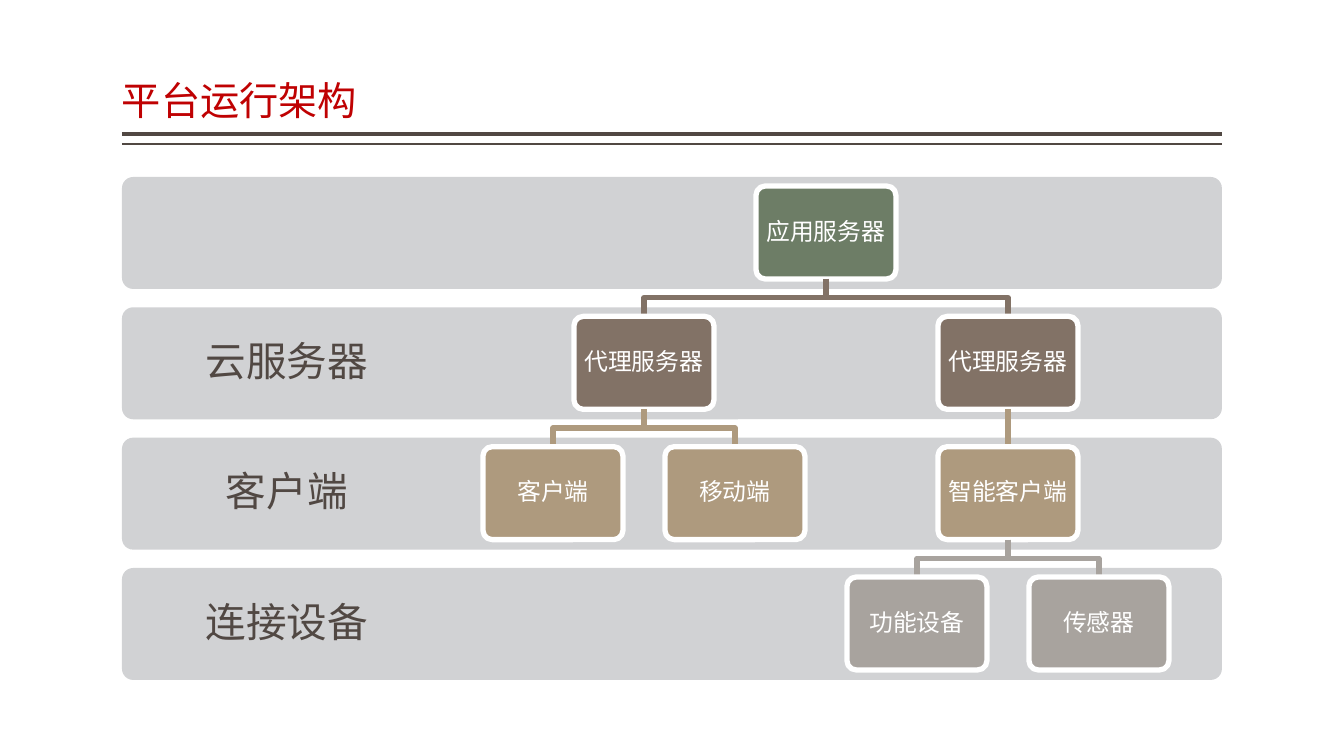
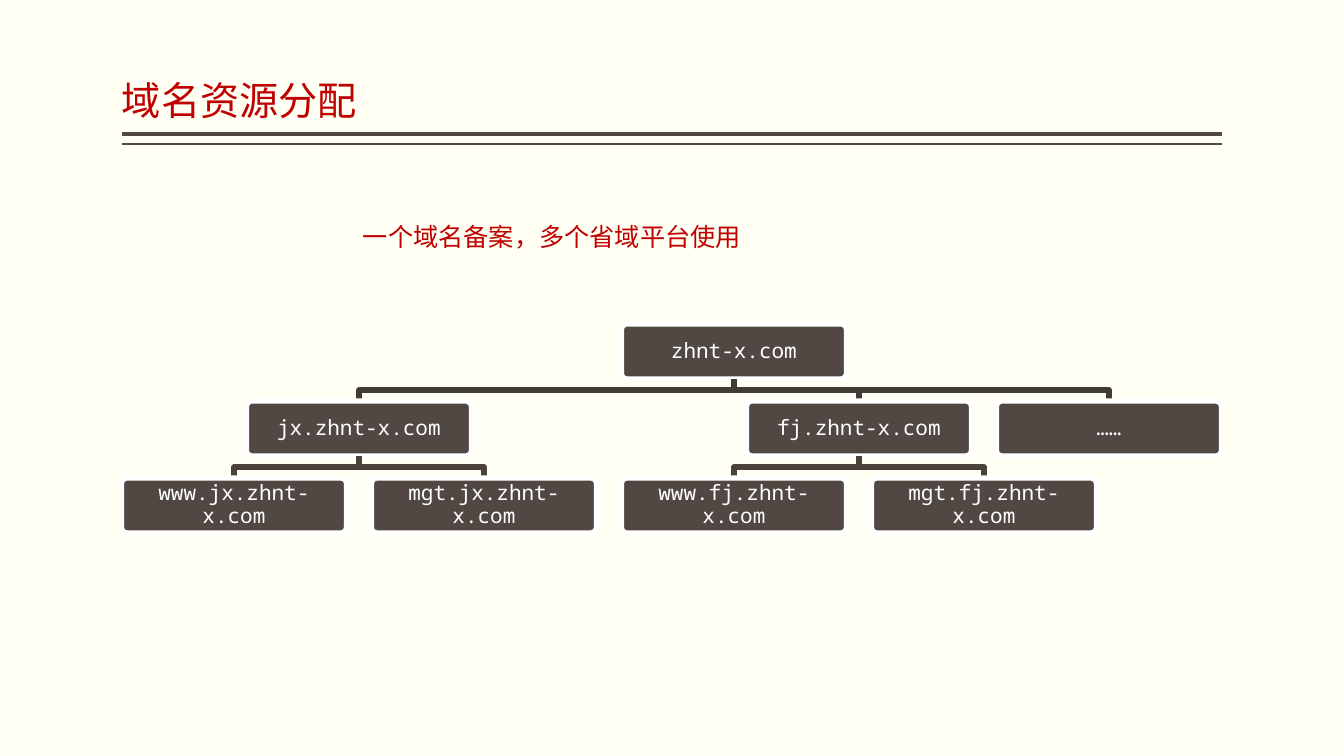
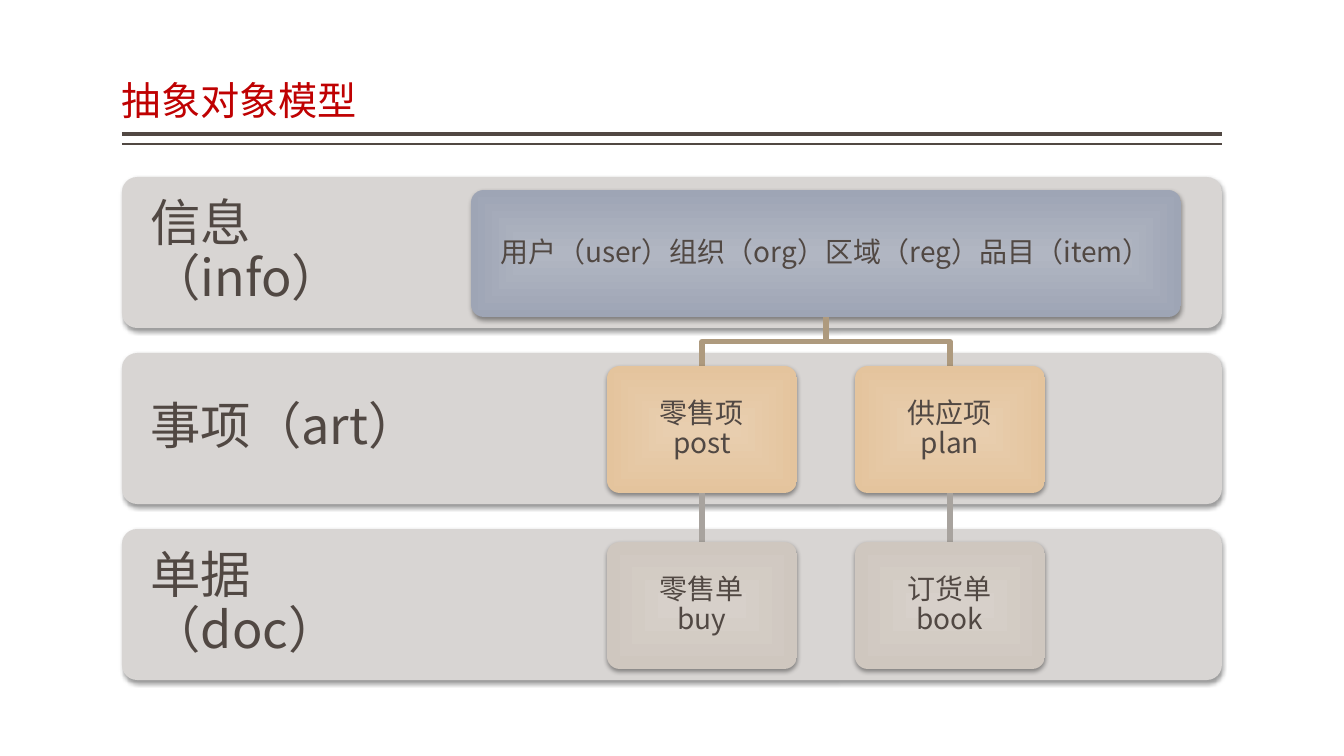
"""Build three slides of platform structure charts."""
from dataclasses import dataclass

import lxml.etree
import pptx
import pptx.dml.color
import pptx.enum.shapes
import pptx.enum.text
import pptx.oxml
import pptx.oxml.ns
import pptx.shapes.autoshape
import pptx.slide
import pptx.text.text
import pptx.util

SCALE = 914400 / 100.8
LEFT, WIDE = 122, 1100
TOP, BASE = 177, 680
LABEL = 330
STROKE = 3.78
HAN = "Noto Sans CJK SC"
NS = pptx.oxml.ns.nsdecls("a")
ALIGN = pptx.enum.text.PP_ALIGN
ANCHOR = pptx.enum.text.MSO_ANCHOR

COLORS = {
    "white": "FFFFFF", "cream": "FFFFF3", "red": "BF0102", "note": "C00000",
    "ink": "514843", "gray": "D1D2D4", "stone": "D8D5D3",
    "green": "6D7D66", "brown": "827266", "tan": "AE9A7E", "ash": "A8A39E",
    "dark": "413A36", "dusk": "4A413D",
    "blue in": "B1B6C2", "blue out": "9EA5B5",
    "sand in": "E8CEAF", "sand out": "E4C49D",
    "clay in": "D7D0CA", "clay out": "CFC7BF",
}

SHADOW = (f'<a:outerShdw {NS} blurRad="44450" dist="25400" dir="5400000" algn="ctr" rotWithShape="0">'
          '<a:srgbClr val="000000"><a:alpha val="38000"/></a:srgbClr></a:outerShdw>')
CENTER = (f'<a:path {NS} path="rect"><a:fillToRect l="50000" t="50000" r="50000" b="50000"/></a:path>')


@dataclass(frozen=True)
class Style:
    """Type style of a text frame."""
    size: int
    color: str
    font: str = HAN
    align: ALIGN = ALIGN.CENTER
    anchor: ANCHOR = ANCHOR.MIDDLE
    space: float = 0.9


@dataclass(frozen=True)
class Bands:
    """Stack of labelled bands that fills the body of a slide."""
    labels: tuple[str, ...]
    high: int
    fill: str
    inset: int
    style: Style
    shade: bool = False

    @property
    def step(self) -> float:
        """Return the distance between band tops."""
        return (BASE - TOP - self.high) / (len(self.labels) - 1)


@dataclass(frozen=True)
class Node:
    """Box of a tree, placed by its column slot."""
    text: str
    slot: int
    kids: tuple["Node", ...] = ()
    wide: int = 0


@dataclass(frozen=True)
class Tree:
    """Grid and look of a tree, with fills and links listed by level."""
    start: int
    pitch: int
    top: int
    step: float
    wide: int
    high: int
    inset: int
    fills: tuple[str | tuple[str, str], ...]
    links: tuple[str, ...]
    style: Style
    edge: str = ""
    shade: bool = False


def emu(px: float) -> pptx.util.Emu:
    """Turn px into EMU."""
    return pptx.util.Emu(round(px * SCALE))


def rgb(name: str) -> pptx.dml.color.RGBColor:
    """Look up a colour by name."""
    return pptx.dml.color.RGBColor.from_string(COLORS[name])


def write(frame: pptx.text.text.TextFrame, text: str, style: Style,
          insets: tuple[int, int, int, int]) -> None:
    """Fill a frame with one styled paragraph."""
    frame.word_wrap = True
    frame.vertical_anchor = style.anchor
    (frame.margin_left, frame.margin_top,
     frame.margin_right, frame.margin_bottom) = map(emu, insets)
    para = frame.paragraphs[0]
    para.text = text
    para.alignment = style.align
    para.line_spacing = style.space
    para.font.size = pptx.util.Pt(style.size)
    para.font.name = style.font
    para.font.color.rgb = rgb(style.color)
    base = para._p.pPr.find(pptx.oxml.ns.qn("a:defRPr"))
    lxml.etree.SubElement(base, pptx.oxml.ns.qn("a:ea"), typeface=HAN)


def add_text(slide: pptx.slide.Slide, text: str, style: Style,
             box: tuple[int, int, int, int], insets: tuple[int, int, int, int]) -> None:
    """Add a text box."""
    write(slide.shapes.add_textbox(*map(emu, box)).text_frame, text, style, insets)


def add_rule(slide: pptx.slide.Slide, start: tuple[float, float], end: tuple[float, float],
             color: str, width: float) -> None:
    """Add a straight line."""
    line = slide.shapes.add_connector(
        pptx.enum.shapes.MSO_CONNECTOR.STRAIGHT, *map(emu, start + end))
    line.line.color.rgb = rgb(color)
    line.line.width = pptx.util.Pt(width)
    lxml.etree.SubElement(line._element.spPr, pptx.oxml.ns.qn("a:effectLst"))


def add_box(slide: pptx.slide.Slide, box: tuple[float, float, float, float],
            fill: str | tuple[str, str], edge: str, shade: bool) -> pptx.shapes.autoshape.Shape:
    """Add a rounded box with a flat or centred gradient fill."""
    shape = slide.shapes.add_shape(
        pptx.enum.shapes.MSO_SHAPE.ROUNDED_RECTANGLE, *map(emu, box))
    shape.adjustments[0] = 0.1
    shape.shadow.inherit = False
    spot = shape._element.spPr
    if isinstance(fill, str):
        shape.fill.solid()
        shape.fill.fore_color.rgb = rgb(fill)
    else:
        shape.fill.gradient()
        for stop, name in zip(shape.fill.gradient_stops, fill):
            stop.color.rgb = rgb(name)
        lin = spot.find(".//" + pptx.oxml.ns.qn("a:lin"))
        lin.getparent().replace(lin, pptx.oxml.parse_xml(CENTER))
    if edge:
        shape.line.color.rgb = rgb(edge)
        shape.line.width = pptx.util.Pt(STROKE)
    else:
        shape.line.fill.background()
    if shade:
        spot.find(pptx.oxml.ns.qn("a:effectLst")).append(pptx.oxml.parse_xml(SHADOW))
    return shape


def add_link(slide: pptx.slide.Slide, start: tuple[float, float], end: tuple[float, float],
             color: str) -> None:
    """Join two boxes with a straight or stepped line."""
    if start[0] == end[0]:
        add_rule(slide, start, end, color, STROKE)
        return
    mid = (start[1] + end[1]) / 2
    maker = slide.shapes.build_freeform(*map(emu, start))
    maker.add_line_segments(
        [tuple(map(emu, spot)) for spot in ((start[0], mid), (end[0], mid), end)], close=False)
    shape = maker.convert_to_shape()
    shape.shadow.inherit = False
    shape.fill.background()
    shape.line.color.rgb = rgb(color)
    shape.line.width = pptx.util.Pt(STROKE)


def draw_node(slide: pptx.slide.Slide, tree: Tree, node: Node, level: int = 0) -> None:
    """Draw a node, then its links and children."""
    mid = tree.start + node.slot * tree.pitch
    top = tree.top + level * tree.step
    wide = node.wide or tree.wide
    shape = add_box(slide, (mid - wide / 2, top, wide, tree.high),
                    tree.fills[level], tree.edge, tree.shade)
    write(shape.text_frame, node.text, tree.style, (tree.inset,) * 4)
    for kid in node.kids:
        add_link(slide, (mid, top + tree.high),
                 (tree.start + kid.slot * tree.pitch, top + tree.step), tree.links[level])
        draw_node(slide, tree, kid, level + 1)


def draw_bands(slide: pptx.slide.Slide, bands: Bands) -> None:
    """Draw the bands, with each label in the left part."""
    pad = bands.inset
    for row, label in enumerate(bands.labels):
        shape = add_box(slide, (LEFT, TOP + row * bands.step, WIDE, bands.high),
                        bands.fill, "", bands.shade)
        if label:
            write(shape.text_frame, label, bands.style, (pad, pad, WIDE - LABEL + pad, pad))


def add_slide(deck: pptx.presentation.Presentation, title: str,
              ground: str = "white") -> pptx.slide.Slide:
    """Add a slide with its title and double rule."""
    slide = deck.slides.add_slide(deck.slide_layouts[6])
    slide.background.fill.solid()
    slide.background.fill.fore_color.rgb = rgb(ground)
    for level, width in ((134, 3), (144, 1)):
        add_rule(slide, (LEFT, level), (LEFT + WIDE, level), "ink", width)
    style = Style(28, "red", align=ALIGN.LEFT, anchor=ANCHOR.BOTTOM)
    add_text(slide, title, style, (LEFT, 8, WIDE, 121), (0, 5, 0, 5))
    return slide


def draw_layers(deck: pptx.presentation.Presentation) -> None:
    """Draw the runtime layers."""
    slide = add_slide(deck, "平台运行架构")
    bands = Bands(("", "云服务器", "客户端", "连接设备"), 112, "gray", 20,
                  Style(29, "ink", "Calibri"))
    tree = Tree(553, 91, TOP + 9, bands.step, 140, 93, 6,
                ("green", "brown", "tan", "ash"), ("brown", "tan", "ash"),
                Style(17, "white", "Calibri"), edge="white")
    smart = Node("智能客户端", 5, (Node("功能设备", 4), Node("传感器", 6)))
    root = Node("应用服务器", 3, (
        Node("代理服务器", 1, (Node("客户端", 0), Node("移动端", 2))),
        Node("代理服务器", 5, (smart,)),
    ))
    draw_bands(slide, bands)
    draw_node(slide, tree, root)


def draw_names(deck: pptx.presentation.Presentation) -> None:
    """Draw the domain name tree."""
    slide = add_slide(deck, "域名资源分配", "cream")
    tree = Tree(234, 125, 324, 77, 225, 55, 6, ("ink",) * 3, ("dark", "dusk"),
                Style(15, "white", "Noto Sans Mono"), edge="white")
    host = "zhnt-x.com"
    zones = tuple(
        Node(f"{zone}.{host}", slot,
             (Node(f"www.{zone}.{host}", slot - 1), Node(f"mgt.{zone}.{host}", slot + 1)))
        for zone, slot in (("jx", 1), ("fj", 5)))
    draw_node(slide, tree, Node(host, 4, zones + (Node("……", 7),)))
    add_text(slide, "一个域名备案，多个省域平台使用",
             Style(18, "note", "Calibri", ALIGN.LEFT, ANCHOR.TOP, 1.0),
             (353, 216, 402, 40), (10, 5, 10, 5))


def draw_model(deck: pptx.presentation.Presentation) -> None:
    """Draw the object model."""
    slide = add_slide(deck, "抽象对象模型")
    bands = Bands(("信息（info）", "事项（art）", "单据（doc）"), 151, "stone", 24,
                  Style(36, "ink", align=ALIGN.LEFT), shade=True)
    fills = tuple((f"{hue} in", f"{hue} out") for hue in ("blue", "sand", "clay"))
    tree = Tree(702, 124, TOP + 13, bands.step, 190, 127, 8, fills, ("tan", "ash"),
                Style(20, "ink"), shade=True)
    root = Node("用户（user）组织（org）区域（reg）品目（item）", 1, (
        Node("零售项\npost", 0, (Node("零售单\nbuy", 0),)),
        Node("供应项\nplan", 2, (Node("订货单\nbook", 2),)),
    ), wide=710)
    draw_bands(slide, bands)
    draw_node(slide, tree, root)


def main() -> None:
    """Build and save the deck."""
    deck = pptx.Presentation()
    deck.slide_width, deck.slide_height = emu(1344), emu(756)
    draw_layers(deck)
    draw_names(deck)
    draw_model(deck)
    deck.save("out.pptx")


if __name__ == "__main__":
    main()
